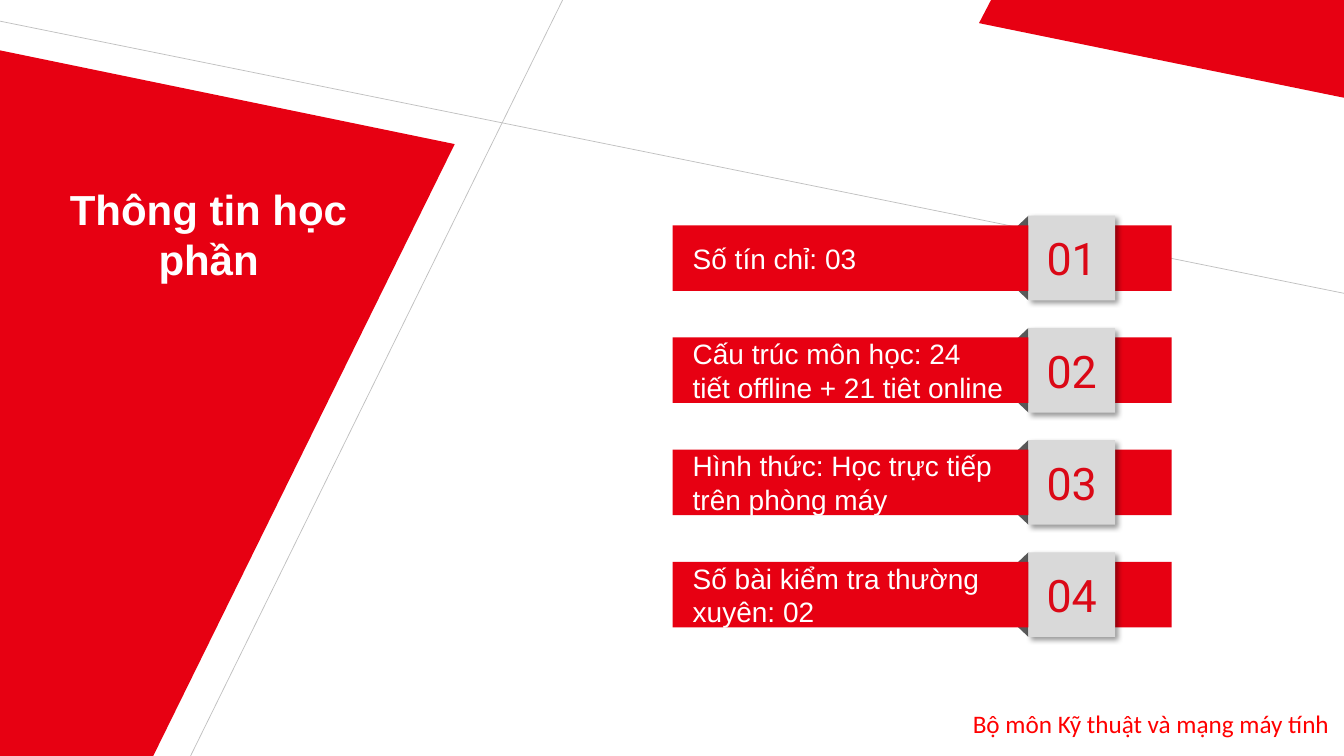
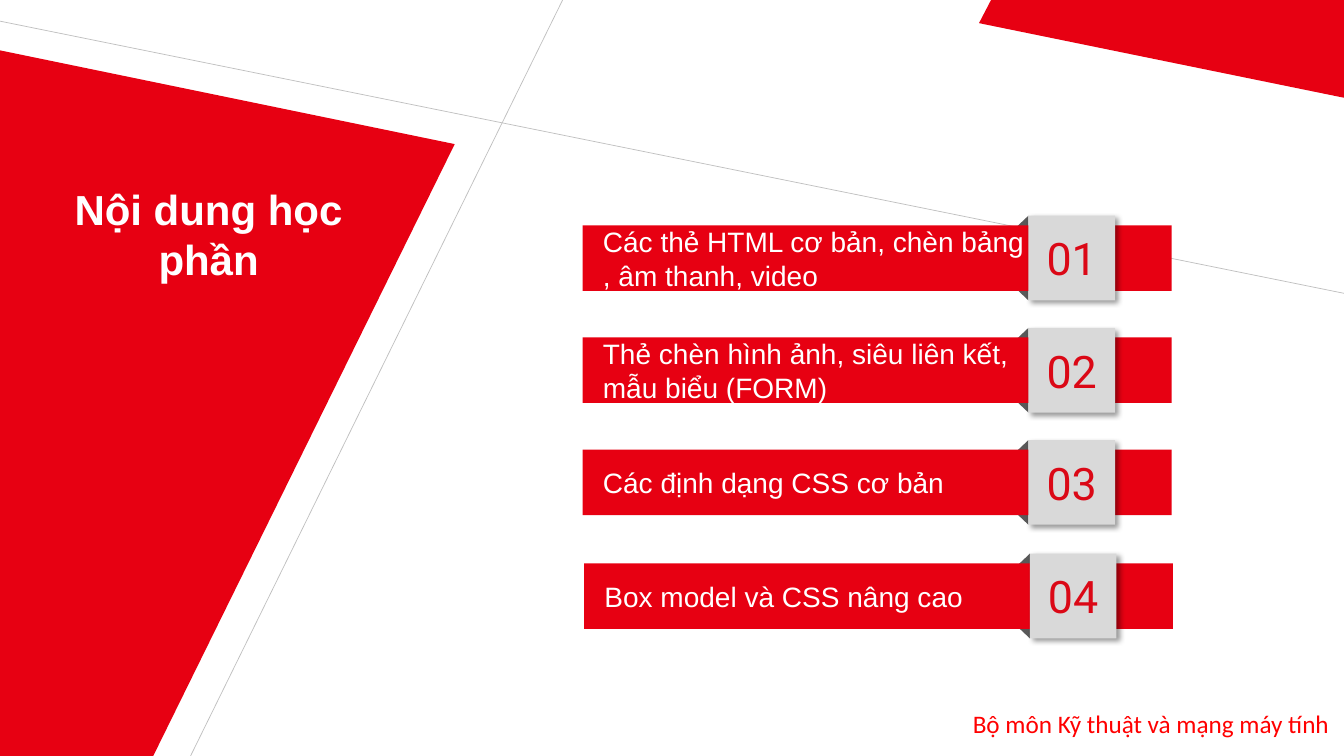
import dataclasses
import typing

import lxml.etree
import pptx
import pptx.dml.color
import pptx.enum.shapes
import pptx.enum.text
import pptx.oxml.ns
import pptx.util

Inches = pptx.util.Inches
Pt = pptx.util.Pt
qn = pptx.oxml.ns.qn
Align = pptx.enum.text.PP_ALIGN
Anchor = pptx.enum.text.MSO_ANCHOR
Fit = pptx.enum.text.MSO_AUTO_SIZE
Kind = pptx.enum.shapes.MSO_SHAPE

COLORS = {
    "red": "E70012",
    "number": "DB0816",
    "footer": "FF0000",
    "white": "FFFFFF",
    "tile": "D9D9D9",
    "fold": "595959",
    "line": "BFBFBF",
    "shadow": "000000",
}
WIDTH, HEIGHT = 13.33, 7.5
PANEL = [(0, 0.5), (4.51, 1.43), (1.52, HEIGHT), (0, HEIGHT)]
CORNER = [(9.83, 0), (WIDTH, 0), (WIDTH, 0.97), (9.71, 0.23)]
LINES = [(1.89, HEIGHT, 5.58, 0), (0, 0.21, WIDTH, 2.91)]
FOOTER = "Bộ môn Kỹ thuật và mạng máy tính"

TOP, PITCH = 2.14, 1.113
BAR_END, BAR_TALL = 11.62, 0.65
TILE_LEFT, TILE_WIDE, TILE_TALL = 10.2, 0.86, 0.84
FOLD_WIDE, FOLD_TALL = 0.19, 0.18


@dataclasses.dataclass(frozen=True)
class Item:
    """One numbered bar; nudge shifts it right and down."""
    text: str
    nudge: float = 0


@dataclasses.dataclass(frozen=True)
class Page:
    """A slide title, the left edge of its bars, and the bars."""
    title: str
    left: float
    items: tuple[Item, ...]


PAGES = (
    Page("Thông tin học phần", 6.67, (
        Item("Số tín chỉ: 03"),
        Item("Cấu trúc môn học: 24\ntiết offline + 21 tiêt online"),
        Item("Hình thức: Học trực tiếp\ntrên phòng máy"),
        Item("Số bài kiểm tra thường\nxuyên: 02"),
    )),
    Page("Nội dung học phần", 5.78, (
        Item("Các thẻ HTML cơ bản, chèn bảng\n, âm thanh, video"),
        Item("Thẻ chèn hình ảnh, siêu liên kết,\nmẫu biểu (FORM)"),
        Item("Các định dạng CSS cơ bản"),
        Item("Box model và CSS nâng cao", 0.014),
    )),
)


def color(name: str) -> pptx.dml.color.RGBColor:
    """Look up a named colour."""
    return pptx.dml.color.RGBColor.from_string(COLORS[name])


def paint(shape: typing.Any, fill: str) -> None:
    """Give a shape a flat fill with no line or shadow."""
    shape.shadow.inherit = False
    shape.fill.solid()
    shape.fill.fore_color.rgb = color(fill)
    shape.line.fill.background()


def write(shape: typing.Any, text: str, *, size: float, font: str = "Arial",
          ink: str = "white", bold: bool = False, align: Align = Align.LEFT,
          anchor: Anchor = Anchor.TOP, wrap: bool = True,
          fit: Fit = Fit.NONE,
          pad: tuple[float, ...] = (0.1, 0.05, 0.1, 0.05)) -> None:
    """Put formatted text in a shape, one paragraph a line."""
    frame = shape.text_frame
    frame.text = text
    frame.word_wrap = wrap
    frame.auto_size = fit
    frame.vertical_anchor = anchor
    (frame.margin_left, frame.margin_top,
     frame.margin_right, frame.margin_bottom) = map(Inches, pad)
    for para in frame.paragraphs:
        para.alignment = align
        for run in para.runs:
            run.font.name = font
            run.font.size = Pt(size)
            run.font.bold = bold
            run.font.color.rgb = color(ink)


def box(slide: typing.Any, kind: Kind, left: float, top: float,
        wide: float, tall: float, fill: str) -> typing.Any:
    """Add a painted preset shape."""
    shape = slide.shapes.add_shape(
        kind, *map(Inches, (left, top, wide, tall)))
    paint(shape, fill)
    return shape


def label(slide: typing.Any, left: float, top: float, wide: float,
          tall: float, text: str, **style: typing.Any) -> None:
    """Add a text box."""
    area = slide.shapes.add_textbox(*map(Inches, (left, top, wide, tall)))
    write(area, text, fit=Fit.SHAPE_TO_FIT_TEXT, **style)


def outline(slide: typing.Any, points: list[tuple[float, float]]) -> None:
    """Add a closed red polygon."""
    first, *rest = [(Inches(x), Inches(y)) for x, y in points]
    pen = slide.shapes.build_freeform(*first)
    pen.add_line_segments(rest, close=True)
    paint(pen.convert_to_shape(), "red")


def rule(slide: typing.Any, ends: tuple[float, ...]) -> None:
    """Add a thin grey line."""
    line = slide.shapes.add_connector(
        pptx.enum.shapes.MSO_CONNECTOR.STRAIGHT, *map(Inches, ends))
    line.line.color.rgb = color("line")
    line.line.width = Pt(0.5)
    lxml.etree.SubElement(line.element.spPr, qn("a:effectLst"))


def shade(shape: typing.Any) -> None:
    """Cast a soft shadow down and to the right."""
    glow = lxml.etree.SubElement(
        shape.element.spPr.find(qn("a:effectLst")), qn("a:outerShdw"),
        blurRad=str(Pt(4)), dist=str(Pt(3)), dir=str(45 * 60000),
        algn="tl", rotWithShape="0")
    tint = lxml.etree.SubElement(
        glow, qn("a:srgbClr"), val=COLORS["shadow"])
    lxml.etree.SubElement(tint, qn("a:alpha"), val="40000")


def fold(slide: typing.Any, left: float, top: float, *flips: str) -> None:
    """Add a dark corner triangle behind a bar."""
    shape = box(slide, Kind.ISOSCELES_TRIANGLE, left, top,
                FOLD_WIDE, FOLD_TALL, "fold")
    shape.adjustments[0] = 0
    for flip in flips:
        shape.element.spPr.find(qn("a:xfrm")).set(flip, "1")


def ribbon(slide: typing.Any, left: float, row: int, item: Item) -> None:
    """Draw one bar with its folded number tile."""
    top = TOP + row * PITCH + item.nudge
    tile = TILE_LEFT + item.nudge
    edge = tile - FOLD_WIDE
    fold(slide, edge, top + TILE_TALL - FOLD_TALL, "flipH", "flipV")
    fold(slide, edge, top, "flipH")
    bar = box(slide, Kind.RECTANGLE, left + item.nudge,
              top + (TILE_TALL - BAR_TALL) / 2,
              BAR_END - left, BAR_TALL, "red")
    write(bar, item.text, size=20, anchor=Anchor.MIDDLE,
          pad=(0.2, 0.05, 0.1, 0.05))
    plate = box(slide, Kind.RECTANGLE, tile, top,
                TILE_WIDE, TILE_TALL, "tile")
    shade(plate)
    write(plate, f"{row + 1:02}", size=32, font="Roboto", ink="number",
          align=Align.CENTER, anchor=Anchor.MIDDLE, pad=(0, 0, 0, 0))


def backdrop(slide: typing.Any, layout: typing.Any) -> None:
    """Draw the shared parts and move them to the layout."""
    for holder in list(layout.placeholders):
        layout.shapes.element.remove(holder.element)
    outline(slide, PANEL)
    for ends in LINES:
        rule(slide, ends)
    outline(slide, CORNER)
    label(slide, 9.55, 6.98, 3.78, 0.4, FOOTER, size=18, font="Calibri",
          ink="footer", wrap=False)
    for shape in list(slide.shapes):
        layout.shapes.element.append(shape.element)


def build() -> None:
    """Make and save the deck."""
    deck = pptx.Presentation()
    deck.slide_width, deck.slide_height = Inches(WIDTH), Inches(HEIGHT)
    blank = deck.slide_layouts[6]
    for index, page in enumerate(PAGES):
        slide = deck.slides.add_slide(blank)
        if index == 0:
            backdrop(slide, blank)
        label(slide, 0.25, 1.77, 3.64, 1.11, page.title, size=30,
              bold=True, align=Align.CENTER)
        for row, item in enumerate(page.items):
            ribbon(slide, page.left, row, item)
    deck.save("out.pptx")


build()
